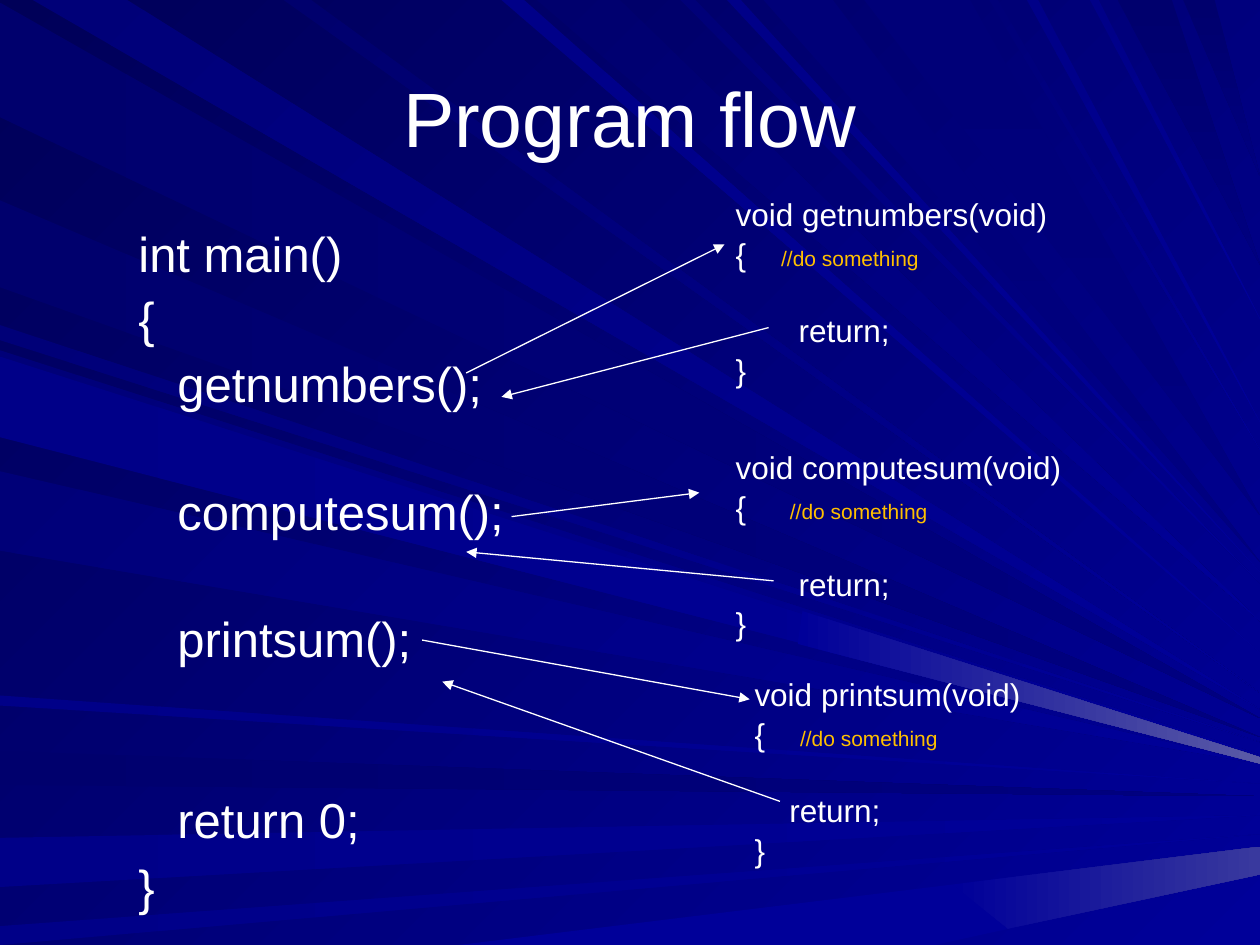
from lxml import etree
from pptx import Presentation
from pptx import util as u
from pptx.dml.color import RGBColor
from pptx.enum import shapes, text
from pptx.oxml.ns import qn

WIDTH, HEIGHT = u.Inches(10), u.Inches(7.5)
UNIT = WIDTH // 1000
RIGHT = 1000
FONT = "Arial"
COLORS = {
    "ink": "FFFFFF", "comment": "FFC000", "night": "000058",
    "deep": "00006D", "dusk": "000078", "navy": "000080",
    "mid": "000088", "blue": "000099", "haze": "39399E", "glow": "5A5AA6",
}
RAYS = [
    ("left", 2, 93, 570, "deep", "navy"),
    ("top", 26, 101, 563, "dusk", "blue"),
    ("left", 596, 623, 632, "deep", "navy"),
    ("left", 665, 704, 647, "mid", "blue"),
    ("left", 735, 765, 662, "mid", "blue"),
    ("left", 258, 270, 589, "dusk", "blue"),
    ("left", 159, 228, 585, "deep", "navy"),
    ("top", 398, 416, 518, "mid", "blue"),
    ("top", 426, 492, 493, "deep", "blue"),
    ("top", 540, 552, 463, "dusk", "blue"),
    ("top", 606, 661, 446, "dusk", "navy"),
    ("top", 887, 930, 210, "deep", "navy"),
    ("top", 939, 964, 140, "deep", "navy"),
    ("left", 278, 342, 599, "dusk", "blue"),
    ("left", 374, 437, 606, "dusk", "blue"),
    ("left", 552, 560, 622, "mid", "blue"),
    ("top", 225, 247, 550, "deep", "blue"),
    ("top", 577, 588, 454, "mid", "blue"),
    ("top", 686, 770, 409, "dusk", "navy"),
    ("top", 785, 792, 357, "dusk", "blue"),
    ("top", 815, 824, 335, "mid", "blue"),
    ("top", 865, 872, 253, "mid", "blue"),
    ("left", 283, 347, 604, "mid", "blue"),
]
GLINTS = [
    ("blue", [(742, 750), (801, 737), (756, 702), (364, 750)]),
    ("haze", [(RIGHT, 694), (RIGHT, 672), (756, 702), (800, 737)]),
    ("glow", [(RIGHT, 601), (637, 485), (633, 511), (RIGHT, 606)]),
]
MAIN_LINES = [
    ("int main()", 0), ("{", 6.8), ("\tgetnumbers();", 6.8),
    ("\tcomputesum();", 42.7), ("\tprintsum();", 42.7),
    ("\treturn 0;", 73.3), ("}", 7.5),
]
FUNCTIONS = [
    ("getnumbers", "{    ", "\treturn;", 524, 150),
    ("computesum", "{     ", "\treturn;", 524, 351),
    ("printsum", "{    ", "    return;", 539, 531),
]
CALLS_AND_RETURNS = [
    ((370, 296), (575, 194)), ((610, 260), (398, 315)),
    ((406, 410), (555, 391)), ((614, 461), (370, 438)),
    ((335, 508), (595, 555)), ((619, 636), (351, 541)),
]


def rgb(name):
    """Return the named colour."""
    return RGBColor.from_string(COLORS[name])


def paint(fill, start, end, angle):
    """Fill with a clockwise two-stop gradient."""
    fill.gradient()
    fill.gradient_angle = (360 - angle) % 360
    for stop, name, position in zip(fill.gradient_stops, (start, end), (0, 1)):
        stop.color.rgb = rgb(name)
        stop.position = position


def add_beam(slide, points, start, end, angle):
    """Draw one outlined area of light."""
    builder = slide.shapes.build_freeform(*points[0], scale=UNIT)
    builder.add_line_segments(points[1:], close=True)
    beam = builder.convert_to_shape()
    beam.shadow.inherit = False
    beam.line.fill.background()
    if start == end:
        beam.fill.solid()
        beam.fill.fore_color.rgb = rgb(start)
    else:
        paint(beam.fill, start, end, angle)


def add_backdrop(slide):
    """Draw rays that run from the left and top edges to the right edge."""
    paint(slide.background.fill, "night", "blue", 45)
    for edge, near, far, tip, start, end in RAYS:
        if edge == "left":
            base = [(0, near), (0, min(far, 750))]
            angle = 45 if start == "dusk" else 0
        else:
            base = [(near, 0), (far, 0)]
            angle = 45 if end == "blue" else 90
        add_beam(slide, base + [(RIGHT, tip)], start, end, angle)
    for end, points in GLINTS:
        add_beam(slide, points, "blue", end, 0)


def style(paragraph, size, before=0):
    """Set a paragraph's font and the space above it."""
    paragraph.space_before = u.Pt(before)
    paragraph.font.size = u.Pt(size)
    paragraph.font.name = FONT
    paragraph.font.color.rgb = rgb("ink")


def add_title(slide, box, wording):
    """Place the title above the rays."""
    title = slide.shapes.title
    slide.shapes._spTree.append(title._element)
    title.left, title.top, title.width, title.height = (UNIT * n for n in box)
    title.text_frame.text = wording
    title.text_frame.vertical_anchor = text.MSO_ANCHOR.MIDDLE
    heading = title.text_frame.paragraphs[0]
    heading.alignment = text.PP_ALIGN.CENTER
    style(heading, 44)


def add_code(slide, box, codes, size, margin, first=0):
    """Write spaced lines of code in a box and return their paragraphs."""
    frame = slide.shapes.add_textbox(*(UNIT * n for n in box)).text_frame
    frame.word_wrap = True
    for _ in codes[1:]:
        frame.add_paragraph()
    for line, (code, before) in zip(frame.paragraphs, codes):
        properties = line._p.get_or_add_pPr()
        properties.set("marL", str(u.Inches(margin)))
        properties.set("indent", str(u.Inches(first)))
        line.add_run().text = code
        style(line, size, before)
    return frame.paragraphs


def add_main(slide, box):
    """Write the main program."""
    for line in add_code(slide, box, MAIN_LINES, 28, 0.81, -0.31):
        line.line_spacing = 0.9


def add_function(slide, box, name, opening, closing):
    """Write one called function with its comment."""
    codes = [(f"void {name}(void)", 0), (opening, 1), (closing, 22.2), ("}", 1)]
    comment = add_code(slide, box, codes, 18, 0.5)[1].add_run()
    comment.text = "//do something"
    comment.font.size = u.Pt(12)
    comment.font.color.rgb = rgb("comment")


def add_arrow(slide, start, end):
    """Draw a thin arrow from start to end."""
    arrow = slide.shapes.add_connector(
        shapes.MSO_CONNECTOR.STRAIGHT, *(UNIT * n for n in start + end))
    arrow.line.color.rgb = rgb("ink")
    arrow.line.width = u.Pt(0.75)
    etree.SubElement(arrow.line._get_or_add_ln(), qn("a:tailEnd"), type="triangle")
    etree.SubElement(arrow._element.spPr, qn("a:effectLst"))


def main():
    """Build and save the slide."""
    deck = Presentation()
    deck.slide_width, deck.slide_height = WIDTH, HEIGHT
    slide = deck.slides.add_slide(deck.slide_layouts[5])
    add_backdrop(slide)
    add_title(slide, (50, 30, 900, 125), "Program flow")
    add_main(slide, (50, 178, 371, 520))
    for name, opening, closing, left, top in FUNCTIONS:
        add_function(slide, (left, top, 386, 162), name, opening, closing)
    for start, end in CALLS_AND_RETURNS:
        add_arrow(slide, start, end)
    deck.save("out.pptx")


if __name__ == "__main__":
    main()
